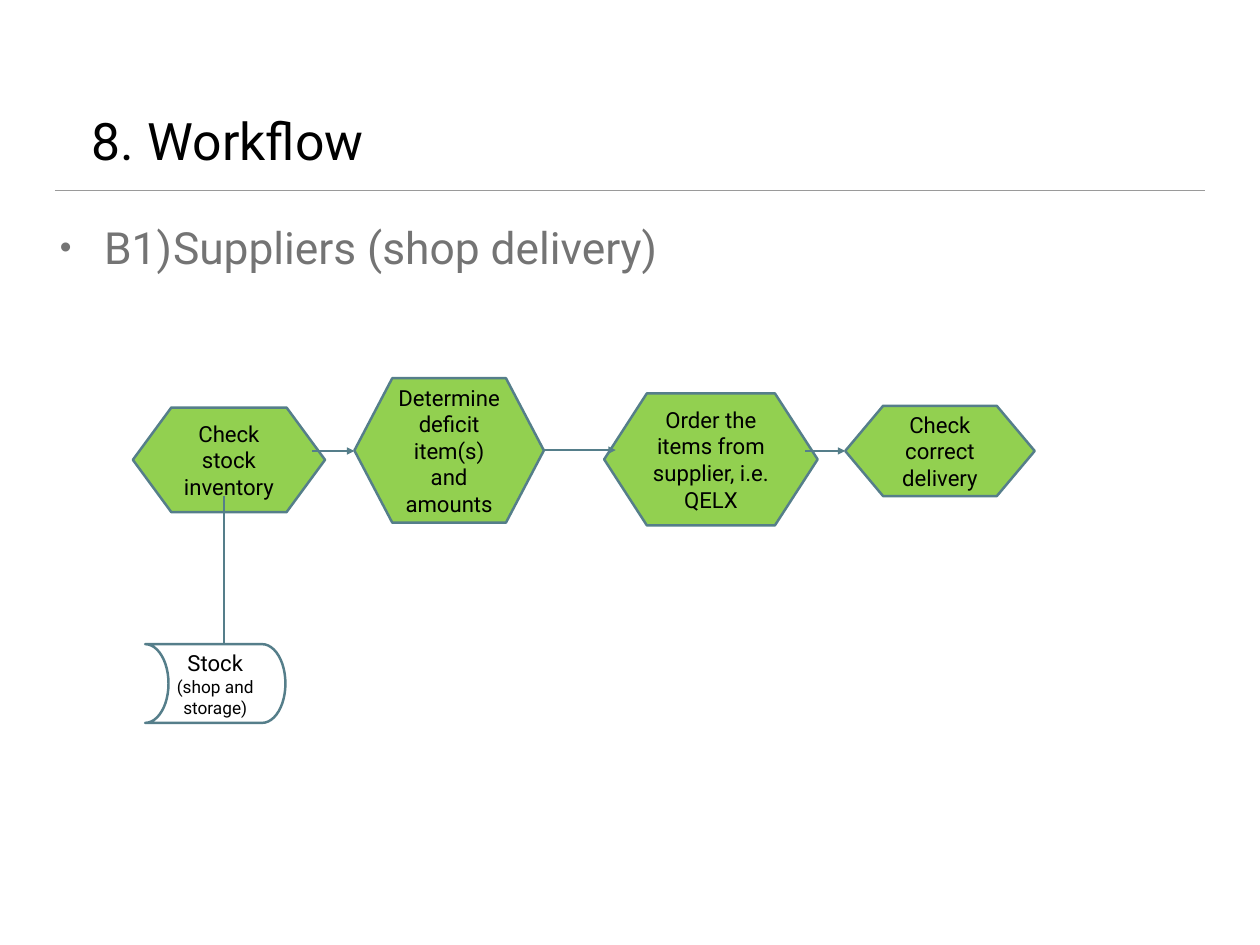
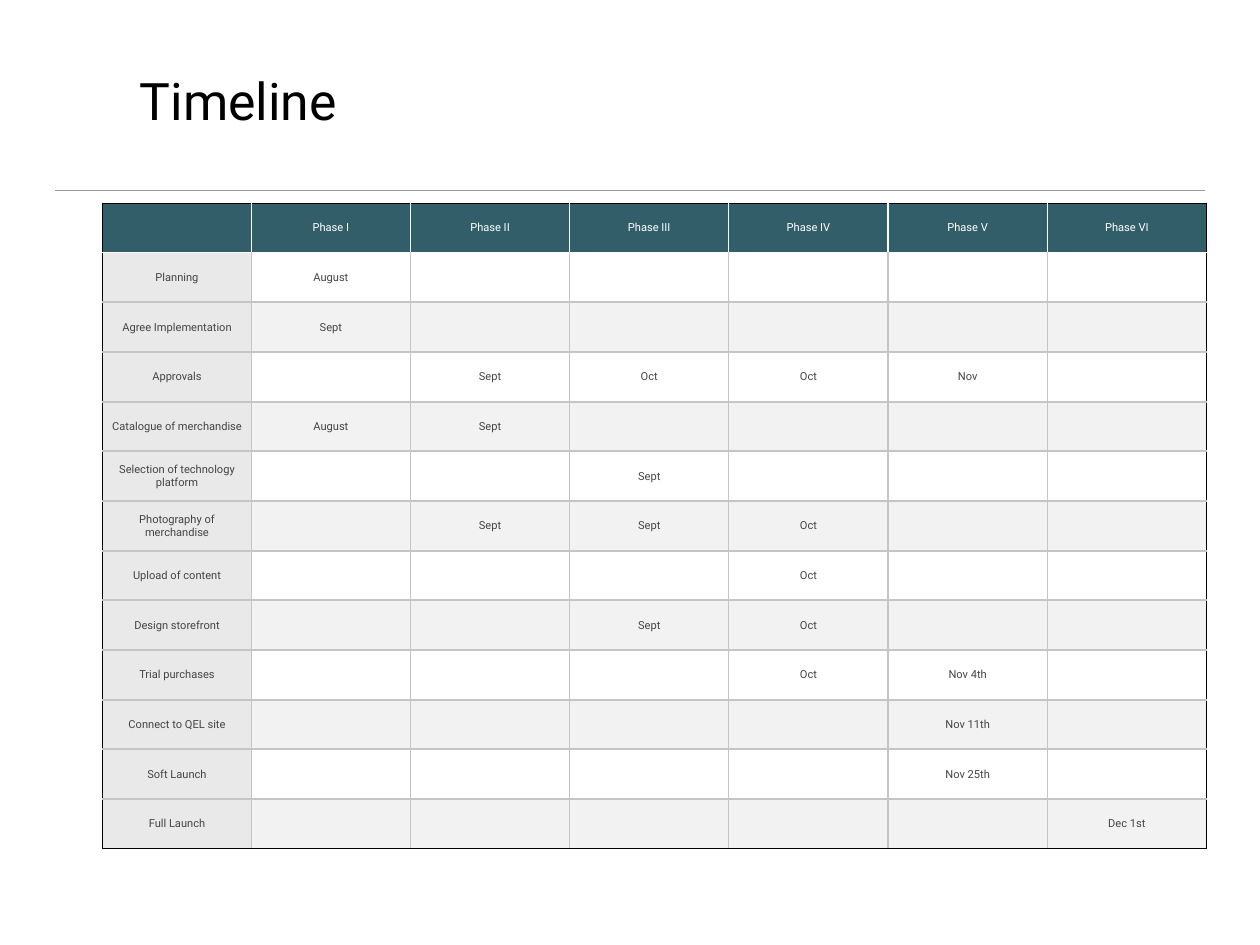
from dataclasses import dataclass

import pptx
import pptx.dml.color
import pptx.enum.shapes
import pptx.enum.text
import pptx.oxml
import pptx.oxml.ns
import pptx.presentation
import pptx.shapes.autoshape
import pptx.slide
import pptx.text.text
import pptx.util

Pt = pptx.util.Pt
FONT = "Roboto"
BLACK, WHITE = "000000", "FFFFFF"
BODY_GREY, RULE_GREY = "747474", "9A9A9A"
GREEN, OUTLINE = "92D050", "557E8A"
HEADER_FILL, LABEL_FILL, BAND_FILL = "325E6A", "E8E9E8", "F2F2F2"
CELL_TEXT, GRID = "444444", "C4C6C6"
INSET = 4
TAB_STEP = 46
HEXAGON_POINT = 0.2  # share of the width taken by each pointed end
HEXAGON_TEXT = 0.15  # share of the width the preset keeps free of text
CENTER = pptx.enum.text.PP_ALIGN.CENTER
LEFT = pptx.enum.text.PP_ALIGN.LEFT
MIDDLE = pptx.enum.text.MSO_ANCHOR.MIDDLE


@dataclass
class Step:
    text: str
    left: float
    top: float
    width: float
    height: float


@dataclass
class Line:
    x1: float
    y1: float
    x2: float
    y2: float
    arrow: bool = True
    color: str = OUTLINE
    weight: float = 2


STEPS = [
    Step("Check stock inventory", 108, 331.2, 156.2, 85),
    Step("Determine deficit item(s) and amounts", 288, 307.4, 154, 117.4),
    Step("Order the items from supplier, i.e. QELX", 491, 319.7, 173.5, 107.3),
    Step("Check correct delivery", 686.9, 329.8, 154, 73.4),
]
STOCK = Step("Stock\n(shop and storage)", 118, 523.5, 114, 64)
FLOW_LINES = [
    Line(253.4, 366.5, 288, 366.5),
    Line(442, 365.8, 500.4, 365.8),
    Line(654.5, 366.5, 686.9, 366.5),
    Line(182.2, 403.2, 182.2, 523.5, arrow=False),
]
TITLE_RULE = Line(44.6, 154.8, 979.2, 154.8, arrow=False, color=RULE_GREY, weight=1)

PHASES = ["Phase I", "Phase II", "Phase III", "Phase IV", "Phase V", "Phase VI"]
# Each task maps phase numbers to dates
TASKS: dict[str, dict[int, str]] = {
    "Planning": {1: "August"},
    "Agree Implementation": {1: "Sept"},
    "Approvals": {2: "Sept", 3: "Oct", 4: "Oct", 5: "Nov"},
    "Catalogue of merchandise": {1: "August", 2: "Sept"},
    "Selection of technology platform": {3: "Sept"},
    "Photography of merchandise": {2: "Sept", 3: "Sept", 4: "Oct"},
    "Upload of content": {4: "Oct"},
    "Design storefront": {3: "Sept", 4: "Oct"},
    "Trial purchases": {4: "Oct", 5: "Nov 4th"},
    "Connect to QEL site": {5: "Nov 11th"},
    "Soft Launch": {5: "Nov 25th"},
    "Full Launch": {6: "Dec 1st"},
}


def rgb(color: str) -> pptx.dml.color.RGBColor:
    return pptx.dml.color.RGBColor.from_string(color)


def format_paragraph(paragraph: pptx.text.text._Paragraph, size: float, color: str,
                     alignment: pptx.enum.text.PP_ALIGN = CENTER) -> None:
    paragraph.alignment = alignment
    for run in paragraph.runs:
        run.font.name = FONT
        run.font.size = Pt(size)
        run.font.color.rgb = rgb(color)


def set_margins(frame: pptx.text.text.TextFrame, side: float, end: float) -> None:
    frame.word_wrap = True
    frame.margin_left = frame.margin_right = Pt(side)
    frame.margin_top = frame.margin_bottom = Pt(end)


def set_tab_step(paragraph: pptx.text.text._Paragraph) -> None:
    paragraph._p.get_or_add_pPr().set("defTabSz", str(Pt(TAB_STEP)))


def add_line(slide: pptx.slide.Slide, line: Line) -> None:
    connector = slide.shapes.add_connector(
        pptx.enum.shapes.MSO_CONNECTOR.STRAIGHT,
        Pt(line.x1), Pt(line.y1), Pt(line.x2), Pt(line.y2))
    connector.line.color.rgb = rgb(line.color)
    connector.line.width = Pt(line.weight)
    if line.arrow:
        outline = connector.line._get_or_add_ln()
        outline.append(pptx.oxml.parse_xml(
            f'<a:tailEnd {pptx.oxml.ns.nsdecls("a")} type="triangle"/>'))
    connector._element.spPr.append(
        pptx.oxml.parse_xml(f'<a:effectLst {pptx.oxml.ns.nsdecls("a")}/>'))


def add_titled_slide(presentation: pptx.presentation.Presentation, text: str,
                     left: float, top: float) -> pptx.slide.Slide:
    slide = presentation.slides.add_slide(presentation.slide_layouts[5])
    title = slide.shapes.title
    title.left, title.top, title.width, title.height = Pt(left), Pt(top), Pt(934), Pt(110)
    frame = title.text_frame
    frame.text = text
    frame.auto_size = pptx.enum.text.MSO_AUTO_SIZE.NONE
    frame.vertical_anchor = pptx.enum.text.MSO_ANCHOR.BOTTOM
    set_margins(frame, INSET, INSET)
    set_tab_step(frame.paragraphs[0])
    format_paragraph(frame.paragraphs[0], 42, BLACK, LEFT)
    add_line(slide, TITLE_RULE)
    return slide


def add_bullet(slide: pptx.slide.Slide, text: str) -> None:
    box = slide.shapes.add_textbox(Pt(44.6), Pt(175), Pt(934), Pt(525))
    frame = box.text_frame
    set_margins(frame, INSET, INSET)
    paragraph = frame.paragraphs[0]
    paragraph.text = text
    set_tab_step(paragraph)
    properties = paragraph._p.get_or_add_pPr()
    properties.set("marL", str(Pt(36)))
    properties.set("indent", str(-Pt(36)))
    namespace = pptx.oxml.ns.nsdecls("a")
    for bullet in ('buSzPct {} val="75000"', 'buFont {} typeface="Arial"', 'buChar {} char="•"'):
        properties.append(pptx.oxml.parse_xml(f"<a:{bullet.format(namespace)}/>"))
    format_paragraph(paragraph, 36, BODY_GREY, LEFT)


def add_flow_shape(slide: pptx.slide.Slide, kind: pptx.enum.shapes.MSO_SHAPE, step: Step,
                   fill: str, side_margin: float) -> pptx.shapes.autoshape.Shape:
    shape = slide.shapes.add_shape(
        kind, Pt(step.left), Pt(step.top), Pt(step.width), Pt(step.height))
    shape.shadow.inherit = False
    shape.fill.solid()
    shape.fill.fore_color.rgb = rgb(fill)
    shape.line.color.rgb = rgb(OUTLINE)
    shape.line.width = Pt(2)
    frame = shape.text_frame
    frame.text = step.text
    frame.vertical_anchor = MIDDLE
    set_margins(frame, side_margin, 0)
    for index, paragraph in enumerate(frame.paragraphs):
        format_paragraph(paragraph, 14 if index else 18, BLACK)
    return shape


def add_hexagon(slide: pptx.slide.Slide, step: Step) -> None:
    margin = (HEXAGON_POINT - HEXAGON_TEXT) * step.width + INSET
    hexagon = add_flow_shape(slide, pptx.enum.shapes.MSO_SHAPE.HEXAGON, step, GREEN, margin)
    hexagon.adjustments[0] = HEXAGON_POINT * step.width / min(step.width, step.height)


def add_border(cell: pptx.table._Cell, side: str, color: str, weight: float) -> None:
    cell._tc.get_or_add_tcPr().append(pptx.oxml.parse_xml(
        f'<a:ln{side} {pptx.oxml.ns.nsdecls("a")} w="{Pt(weight)}">'
        f'<a:solidFill><a:srgbClr val="{color}"/></a:solidFill></a:ln{side}>'))


def cell_fill(row: int, column: int) -> str:
    if row == 0:
        return HEADER_FILL
    if column == 0:
        return LABEL_FILL
    return WHITE if row % 2 else BAND_FILL


def add_timeline_table(slide: pptx.slide.Slide) -> None:
    phase_numbers = range(1, len(PHASES) + 1)
    rows = [["", *PHASES]]
    rows += [[task, *(dates.get(number, "") for number in phase_numbers)]
             for task, dates in TASKS.items()]
    last_row, last_column = len(rows) - 1, len(PHASES)
    table = slide.shapes.add_table(
        len(rows), last_column + 1, Pt(83.4), Pt(165), Pt(897.2), Pt(525)).table
    table.first_row = table.horz_banding = False
    for row in table.rows:
        row.height = Pt(525 / len(rows))
    for index, column in enumerate(table.columns):
        column.width = Pt(129.4 if index else 120.8)

    for row, texts in enumerate(rows):
        for column, text in enumerate(texts):
            cell = table.cell(row, column)
            outer = (BLACK, 1)
            upright = (GRID if row else WHITE, 1)
            level = (GRID, 2)
            below_header = (WHITE, 1)
            add_border(cell, "L", *(upright if column else outer))
            add_border(cell, "R", *(upright if column < last_column else outer))
            add_border(cell, "T", *(outer if row == 0 else below_header if row == 1 else level))
            add_border(cell, "B", *(below_header if row == 0 else
                                    outer if row == last_row else level))
            cell.fill.solid()
            cell.fill.fore_color.rgb = rgb(cell_fill(row, column))
            cell.vertical_anchor = MIDDLE
            cell.margin_left = cell.margin_right = Pt(INSET)
            cell.margin_top = cell.margin_bottom = Pt(INSET)
            if text:
                cell.text_frame.text = text
                format_paragraph(cell.text_frame.paragraphs[0], 9, CELL_TEXT if row else WHITE)


def main() -> None:
    presentation = pptx.Presentation()
    presentation.slide_width, presentation.slide_height = Pt(1024), Pt(768)

    # Workflow
    workflow = add_titled_slide(presentation, "8.\tWorkflow", 70, 32.5)
    add_bullet(workflow, "B1)\tSuppliers (shop delivery)")
    for step in STEPS:
        add_hexagon(workflow, step)
    stock = add_flow_shape(workflow, pptx.enum.shapes.MSO_SHAPE.FLOWCHART_STORED_DATA,
                           STOCK, WHITE, INSET)
    stock._element.spPr.xfrm.set("flipH", "1")
    for line in FLOW_LINES:
        add_line(workflow, line)

    # Timeline
    timeline = add_titled_slide(presentation, "Timeline", 109.5, 0)
    add_timeline_table(timeline)

    presentation.save("out.pptx")


if __name__ == "__main__":
    main()
